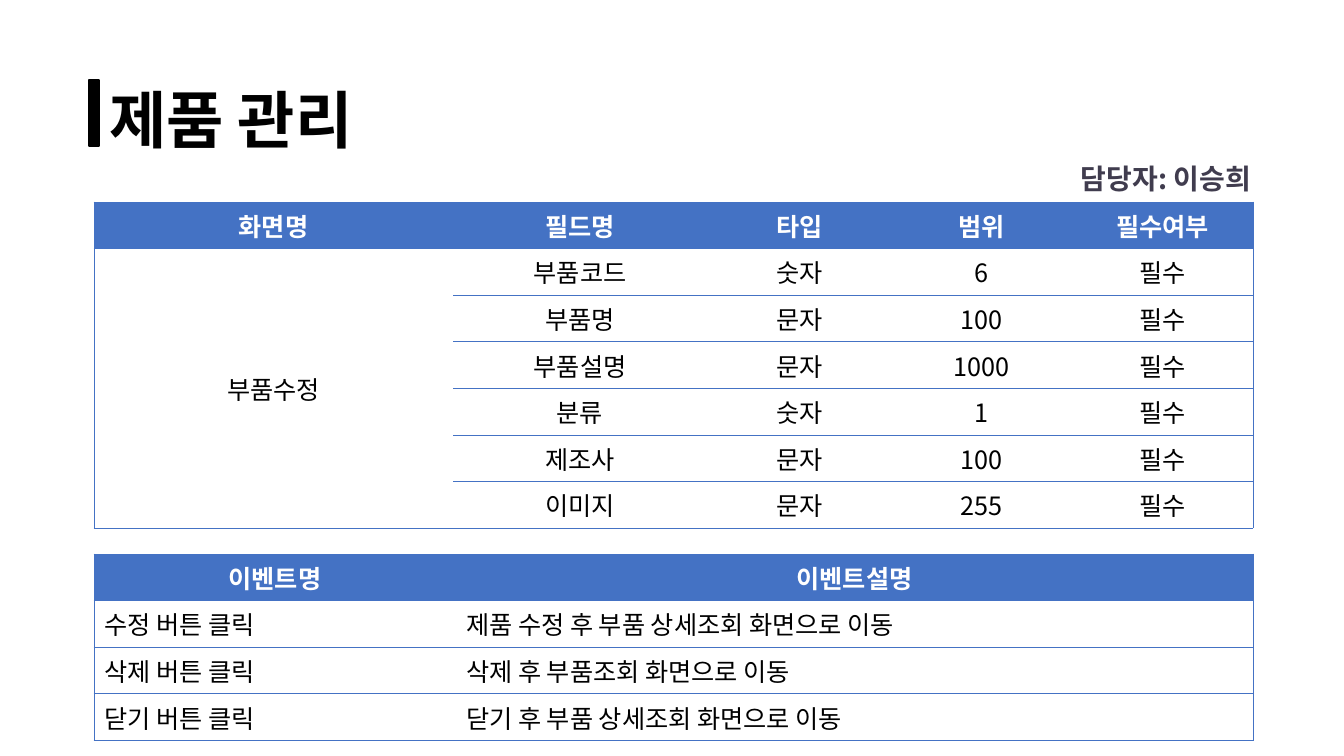
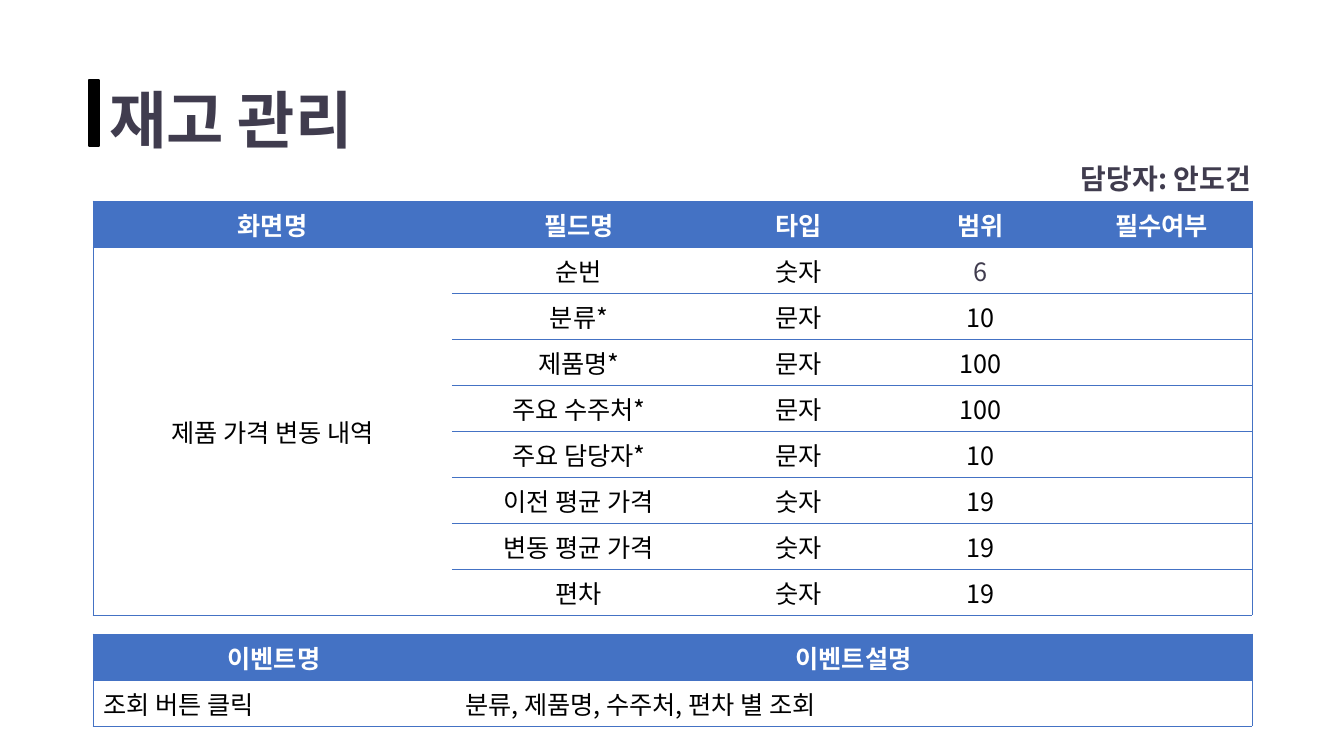
from lxml import etree
from pptx import Presentation
from pptx import util as u
from pptx.dml.color import RGBColor
from pptx.enum import shapes, text
from pptx.oxml import ns

PX = 9525 / 1.05  # 100.8 px to the inch
BLUE = RGBColor(0x44, 0x72, 0xC4)
WHITE = RGBColor(0xFF, 0xFF, 0xFF)
BLACK = RGBColor(0, 0, 0)
GREY = RGBColor(0x40, 0x3C, 0x4E)
FONT = "Noto Sans CJK KR"
LEFT, MID, RIGHT = text.PP_ALIGN.LEFT, text.PP_ALIGN.CENTER, text.PP_ALIGN.RIGHT
ROW = 46

FIELDS = ["화면명", "필드명", "타입", "범위", "필수여부"]
EVENTS = ["이벤트명", "이벤트설명"]
FIELD_COLS = [359, 254, 185, 180, 181]
EVENT_COLS = [362, 797]

# Content: edge is the left of the tables, tops their two upper edges
PAGES = [
    dict(title="제품 관리", font=FONT, color=BLACK, owner="담당자: 이승희",
         edge=94, tops=(202, 554), screen="부품수정",
         fields=[("부품코드", "숫자", "6", "필수"),
                 ("부품명", "문자", "100", "필수"),
                 ("부품설명", "문자", "1000", "필수"),
                 ("분류", "숫자", "1", "필수"),
                 ("제조사", "문자", "100", "필수"),
                 ("이미지", "문자", "255", "필수")],
         events=[("수정 버튼 클릭", "제품 수정 후 부품 상세조회 화면으로 이동"),
                 ("삭제 버튼 클릭", "삭제 후 부품조회 화면으로 이동"),
                 ("닫기 버튼 클릭", "닫기 후 부품 상세조회 화면으로 이동")]),
    dict(title="재고 관리", font="Arial", color=GREY, owner="담당자: 안도건",
         edge=93, tops=(201, 634), screen="제품 가격 변동 내역",
         fields=[("순번", "숫자", "6", ""),
                 ("분류*", "문자", "10", ""),
                 ("제품명*", "문자", "100", ""),
                 ("주요 수주처*", "문자", "100", ""),
                 ("주요 담당자*", "문자", "10", ""),
                 ("이전 평균 가격", "숫자", "19", ""),
                 ("변동 평균 가격", "숫자", "19", ""),
                 ("편차", "숫자", "19", "")],
         events=[("조회 버튼 클릭", "분류, 제품명, 수주처, 편차 별 조회")]),
]


def style(para, size, color, bold, align, font=FONT):
    para.alignment = align
    for run in para.runs:
        face = run.font
        face.size, face.bold, face.name = u.Pt(size), bold, font
        face.color.rgb = color
        east = etree.SubElement(face._element, ns.qn("a:ea"))
        east.set("typeface", FONT)


def grid(slide, x, y, cols, rows, align, merge=False):
    box = [round(n * PX) for n in (x, y, sum(cols), ROW * len(rows))]
    table = slide.shapes.add_table(len(rows), len(cols), *box).table
    for col, wide in zip(table.columns, cols):
        col.width = round(wide * PX)
    for row in table.rows:
        row.height = round(ROW * PX)
    if merge:
        table.cell(1, 0).merge(table.cell(len(rows) - 1, 0))
    for r, row in enumerate(rows):
        for c, words in enumerate(row):
            cell = table.cell(r, c)
            head = r == 0
            # Lines: rows ruled, outer frame, no inner verticals
            sides = {"L": c == 0, "R": c == len(cols) - 1,
                     "T": not cell.is_spanned,
                     "B": not cell.is_spanned or r == len(rows) - 1}
            props = cell._tc.get_or_add_tcPr()
            for side, shown in sides.items():
                line = etree.SubElement(props, ns.qn("a:ln" + side), w="6350")
                kind = "a:solidFill" if shown else "a:noFill"
                paint = etree.SubElement(line, ns.qn(kind))
                if shown:
                    etree.SubElement(paint, ns.qn("a:srgbClr"), val=str(BLUE))
            cell.fill.solid()
            cell.fill.fore_color.rgb = BLUE if head else WHITE
            cell.vertical_anchor = text.MSO_ANCHOR.MIDDLE
            if words:
                cell.text_frame.text = words
                style(cell.text_frame.paragraphs[0], 18,
                      WHITE if head else BLACK, head, MID if head else align)
    return table


deck = Presentation()
deck.slide_width, deck.slide_height = round(1344 * PX), round(756 * PX)

for page in PAGES:
    slide = deck.slides.add_slide(deck.slide_layouts[6])

    # Tables
    rows = [FIELDS] + [(page["screen"] if n == 0 else "", *field)
                       for n, field in enumerate(page["fields"])]
    fields = grid(slide, page["edge"], page["tops"][0], FIELD_COLS, rows, MID, True)
    grid(slide, page["edge"], page["tops"][1], EVENT_COLS,
         [EVENTS] + page["events"], LEFT)
    size = fields.cell(1, 3).text_frame.paragraphs[0].runs[0]
    size.font.color.rgb = page["color"]

    # Title and owner
    for words, box, points, color, align, font in (
            (page["title"], (109, 78, 625, 79), 44.5, page["color"], LEFT, page["font"]),
            (page["owner"], (1019, 117, 232, 79), 20, GREY, RIGHT, FONT)):
        frame = slide.shapes.add_textbox(*[round(n * PX) for n in box]).text_frame
        frame.margin_left = frame.margin_right = 0
        frame.margin_top = frame.margin_bottom = 0
        frame.word_wrap = True
        frame.text = words
        para = frame.paragraphs[0]
        para.line_spacing = u.Pt(55.5)
        style(para, points, color, True, align, font)

    # Bar beside the title
    bar = slide.shapes.add_shape(shapes.MSO_SHAPE.RECTANGLE,
                                 *[round(n * PX) for n in (89, 80, 10, 66)])
    bar.shadow.inherit = False
    bar.fill.solid()
    bar.fill.fore_color.rgb = bar.line.color.rgb = BLACK
    bar.line.width = u.Pt(1)

deck.save("out.pptx")
